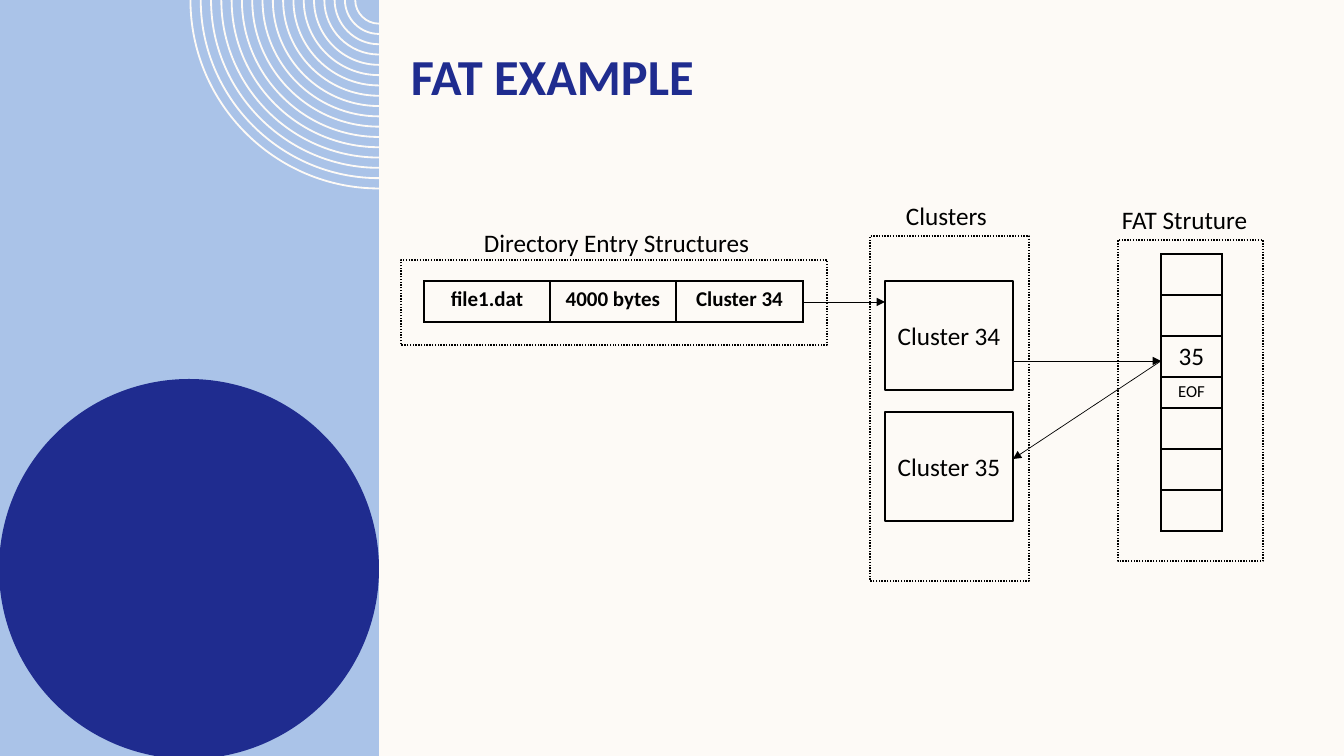
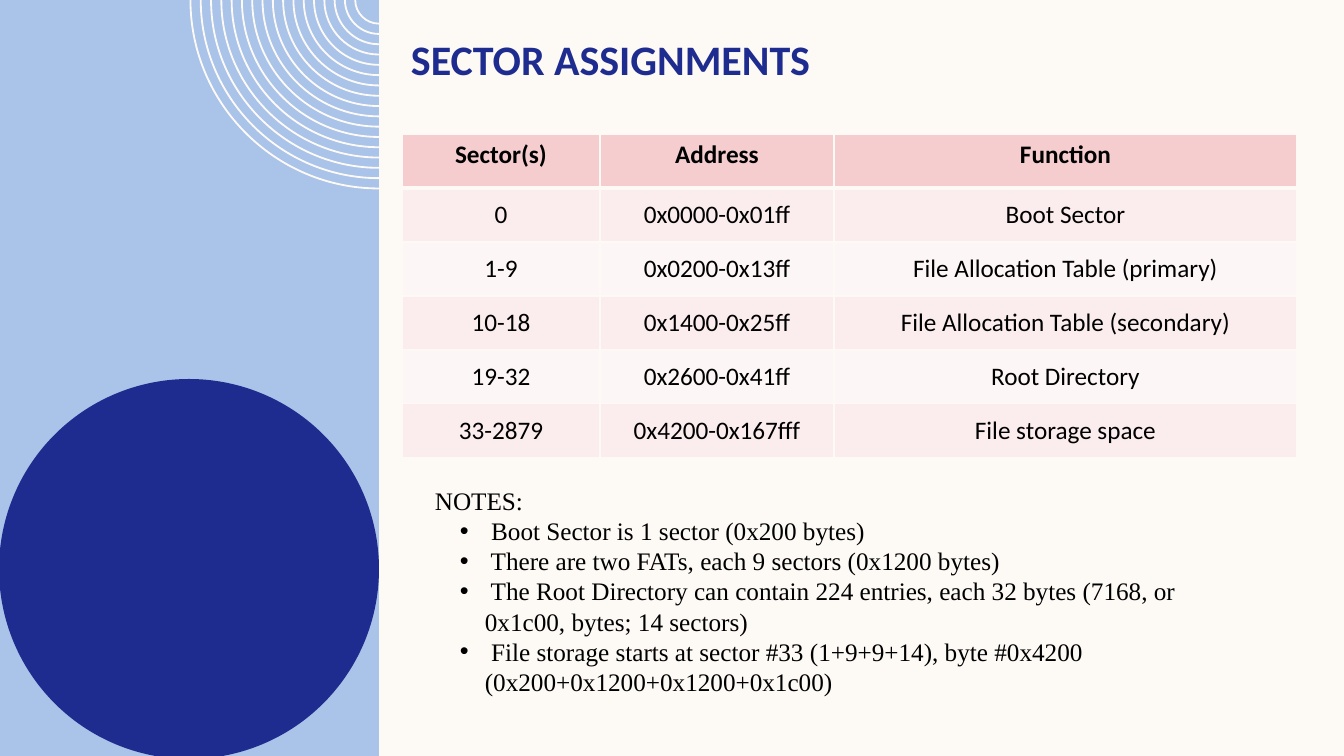
import lxml.etree
import pptx
import pptx.dml.color
import pptx.enum.dml
import pptx.enum.shapes
import pptx.enum.text
import pptx.oxml.ns
import pptx.util

EMU_PER_PX = 914400 / 100.8
CREAM, SKY, NAVY, BLACK = "FDFAF6", "AAC3E8", "1F2C8F", "000000"
HEADER_PINK, BANDS = "F5CDCE", ("FBEDED", "FDF6F6")
CENTER = pptx.enum.text.PP_ALIGN.CENTER
LEFT = pptx.enum.text.PP_ALIGN.LEFT
TOP = pptx.enum.text.MSO_ANCHOR.TOP
MIDDLE = pptx.enum.text.MSO_ANCHOR.MIDDLE
RECTANGLE = pptx.enum.shapes.MSO_SHAPE.RECTANGLE
OVAL = pptx.enum.shapes.MSO_SHAPE.OVAL


def px(length):
    """Turn pixels into EMU."""
    return pptx.util.Emu(round(length * EMU_PER_PX))


def color(value):
    """Turn a hex string into a colour."""
    return pptx.dml.color.RGBColor.from_string(value)


def add_element(parent, tag, **attributes):
    """Append a DrawingML element to its parent."""
    name = pptx.oxml.ns.qn("a:" + tag)
    return lxml.etree.SubElement(parent, name, attributes)


class Deck:
    """Hold the shared style and the slide being built."""

    def __init__(self):
        """Start a presentation with the shared size and background."""
        self.presentation = pptx.Presentation()
        self.presentation.slide_width = px(1344)
        self.presentation.slide_height = px(756)
        fill = self.presentation.slide_master.background.fill
        fill.solid()
        fill.fore_color.rgb = color(CREAM)
        self.slide = None

    def new_slide(self, title, size, top):
        """Add a slide with the side panel and its title."""
        layout = self.presentation.slide_layouts[6]
        self.slide = self.presentation.slides.add_slide(layout)
        self.box(0, 0, 379, 756, fill=SKY, line=None)
        self.rings(379, 17)
        self.box(-1, 379, 380, 380, fill=NAVY, line=None, kind=OVAL)
        self.text(401, top, 900, 85, [title], size, NAVY, bold=True)

    def rings(self, center, count):
        """Draw concentric quarter rings hanging from the top edge."""
        radii = [188.5 - 10.3 * index for index in range(count)]
        builder = self.slide.shapes.build_freeform(
            px(center - radii[0]), 0, scale=1.0)
        for radius in radii:
            if radius != radii[0]:
                builder.move_to(px(center - radius), 0)
            builder.add_line_segments([(px(center), px(radius))], close=False)
        shape = builder.convert_to_shape()
        shape.shadow.inherit = False
        shape.fill.background()
        shape.line.color.rgb = color(CREAM)
        shape.line.width = pptx.util.Pt(1.3)
        self.round_quarters(shape)

    def round_quarters(self, shape):
        """Turn each straight segment of a freeform into a quarter circle."""
        segments = list(shape._element.iter(pptx.oxml.ns.qn("a:lnTo")))
        for segment in segments:
            start, end = (
                (int(point.get("x")), int(point.get("y")))
                for point in (segment.getprevious()[0], segment[0]))
            controls = (
                (start[0], start[1] + 0.55 * (end[1] - start[1])),
                (end[0] - 0.55 * (end[0] - start[0]), end[1]))
            curve = lxml.etree.Element(pptx.oxml.ns.qn("a:cubicBezTo"))
            for x, y in (*controls, end):
                add_element(curve, "pt", x=str(round(x)), y=str(round(y)))
            segment.getparent().replace(segment, curve)

    def box(self, left, top, width, height, text="", fill=CREAM, line=BLACK,
            dotted=False, kind=RECTANGLE):
        """Add a preset shape with optional centred text."""
        shape = self.slide.shapes.add_shape(
            kind, px(left), px(top), px(width), px(height))
        shape.shadow.inherit = False
        shape.fill.solid()
        shape.fill.fore_color.rgb = color(fill)
        if line is None:
            shape.line.fill.background()
        else:
            shape.line.color.rgb = color(line)
            shape.line.width = pptx.util.Pt(1)
        if dotted:
            shape.line.dash_style = pptx.enum.dml.MSO_LINE_DASH_STYLE.ROUND_DOT
        if text:
            shape.text_frame.text = text
            shape.text_frame.vertical_anchor = MIDDLE
            self.format(shape.text_frame.paragraphs[0], 18, align=CENTER)

    def format(self, paragraph, size, text_color=BLACK, bold=False,
               font="Calibri", align=LEFT):
        """Style the runs of a paragraph."""
        paragraph.alignment = align
        for run in paragraph.runs:
            run.font.name = font
            run.font.size = pptx.util.Pt(size)
            run.font.bold = bold
            run.font.color.rgb = color(text_color)

    def text(self, left, top, width, height, lines, size=18, text_color=BLACK,
             bold=False, font="Calibri"):
        """Add a text box whose lines after the first are bulleted."""
        shape = self.slide.shapes.add_textbox(
            px(left), px(top), px(width), px(height))
        frame = shape.text_frame
        frame.word_wrap = True
        for index, line in enumerate(lines):
            paragraph = frame.add_paragraph() if index else frame.paragraphs[0]
            paragraph.text = line
            if index:
                self.bullet(paragraph)
            self.format(paragraph, size, text_color, bold, font)

    def bullet(self, paragraph):
        """Give a paragraph a hanging bullet."""
        paragraph.level = 1
        properties = paragraph._p.get_or_add_pPr()
        properties.set("marL", str(px(50)))
        properties.set("indent", str(px(-25)))
        add_element(properties, "buFont", typeface="Arial")
        add_element(properties, "buChar", char="•")

    def arrow(self, start, end):
        """Add a thin straight arrow between two points."""
        connector = self.slide.shapes.add_connector(
            pptx.enum.shapes.MSO_CONNECTOR.STRAIGHT,
            *(px(value) for value in start + end))
        connector.line.color.rgb = color(BLACK)
        connector.line.width = pptx.util.Pt(0.5)
        add_element(connector.line._get_or_add_ln(), "tailEnd", type="triangle")
        add_element(connector._element.spPr, "effectLst")

    def table(self, left, top, widths, heights, rows):
        """Add an unstyled table and return it for its cells to be set."""
        table = self.slide.shapes.add_table(
            len(heights), len(widths), px(left), px(top),
            px(sum(widths)), px(sum(heights))).table
        table.first_row = table.horz_banding = False
        for column, width in zip(table.columns, widths):
            column.width = px(width)
        for row, height, texts in zip(table.rows, heights, rows):
            row.height = px(height)
            for cell, text in zip(row.cells, texts):
                cell.text_frame.text = text
        return table

    def cell(self, cell, size=18, bold=False, fill=CREAM, border=BLACK,
             top=1, bottom=1, anchor=TOP, margin=None):
        """Style one table cell and its four borders."""
        properties = cell._tc.get_or_add_tcPr()
        for side, width in (("L", 1), ("R", 1), ("T", top), ("B", bottom)):
            line = add_element(properties, "ln" + side,
                               w=str(pptx.util.Pt(width)))
            add_element(add_element(line, "solidFill"), "srgbClr", val=border)
        cell.fill.solid()
        cell.fill.fore_color.rgb = color(fill)
        cell.vertical_anchor = anchor
        if margin is not None:
            cell.margin_left = cell.margin_right = px(margin)
            cell.margin_top = cell.margin_bottom = px(margin)
        self.format(cell.text_frame.paragraphs[0], size, bold=bold, align=CENTER)


def build_fat_example(deck):
    """Build the diagram of directory entry, clusters and FAT."""
    deck.new_slide("FAT EXAMPLE", 36, 40)
    for frame in ((401, 260, 426, 85), (870, 236, 159, 345),
                  (1118, 240, 145, 321)):
        deck.box(*frame, dotted=True)

    entry = deck.table(424, 281, [126, 126, 127], [41],
                       [("file1.dat", "4000 bytes", "Cluster 34")])
    for cell in entry.iter_cells():
        deck.cell(cell, size=15, bold=True)

    for top, name in ((281, "Cluster 34"), (412, "Cluster 35")):
        deck.box(885, top, 128, 109, name)

    fat_rows = ["", "", "35", "EOF", "", "", ""]
    heights = [31 if text == "EOF" else 41 for text in fat_rows]
    fat = deck.table(1161, 254, [61], heights, [(text,) for text in fat_rows])
    for cell in fat.iter_cells():
        deck.cell(cell, size=12 if cell.text_frame.text == "EOF" else 18)

    fat_entry = (1161, 361)
    deck.arrow((803, 302), (885, 302))
    deck.arrow((1013, 361), fat_entry)
    deck.arrow(fat_entry, (1013, 459))

    for left, top, width, label in (
            (474, 222, 302, "Directory Entry Structures"),
            (896, 195, 107, "Clusters"),
            (1112, 199, 158, "FAT Struture")):
        deck.text(left, top, width, 40, [label])


def build_sector_assignments(deck):
    """Build the sector table and its notes."""
    deck.new_slide("SECTOR ASSIGNMENTS", 30, 29)
    rows = [
        ("Sector(s)", "Address", "Function"),
        ("0", "0x0000-0x01ff", "Boot Sector"),
        ("1-9", "0x0200-0x13ff", "File Allocation Table (primary)"),
        ("10-18", "0x1400-0x25ff", "File Allocation Table (secondary)"),
        ("19-32", "0x2600-0x41ff", "Root Directory"),
        ("33-2879", "0x4200-0x167fff", "File storage space"),
    ]
    sectors = deck.table(402, 134, [198, 234, 463], [54] * len(rows), rows)
    for index, row in enumerate(sectors.rows):
        for cell in row.cells:
            if index == 0:
                deck.cell(cell, bold=True, fill=HEADER_PINK, border=CREAM,
                          bottom=3)
            else:
                deck.cell(cell, fill=BANDS[(index - 1) % 2], border=CREAM,
                          top=3 if index == 1 else 1, anchor=MIDDLE, margin=4)

    deck.text(425, 480, 768, 254, [
        "NOTES:",
        " Boot Sector is 1 sector (0x200 bytes)",
        " There are two FATs, each 9 sectors (0x1200 bytes)",
        " The Root Directory can contain 224 entries, each 32 bytes "
        "(7168, or 0x1c00, bytes; 14 sectors)",
        " File storage starts at sector #33 (1+9+9+14), byte #0x4200 "
        "(0x200+0x1200+0x1200+0x1c00)",
    ], font="Times New Roman")


def main():
    """Build and save the presentation."""
    deck = Deck()
    build_fat_example(deck)
    build_sector_assignments(deck)
    deck.presentation.save("out.pptx")


if __name__ == "__main__":
    main()
